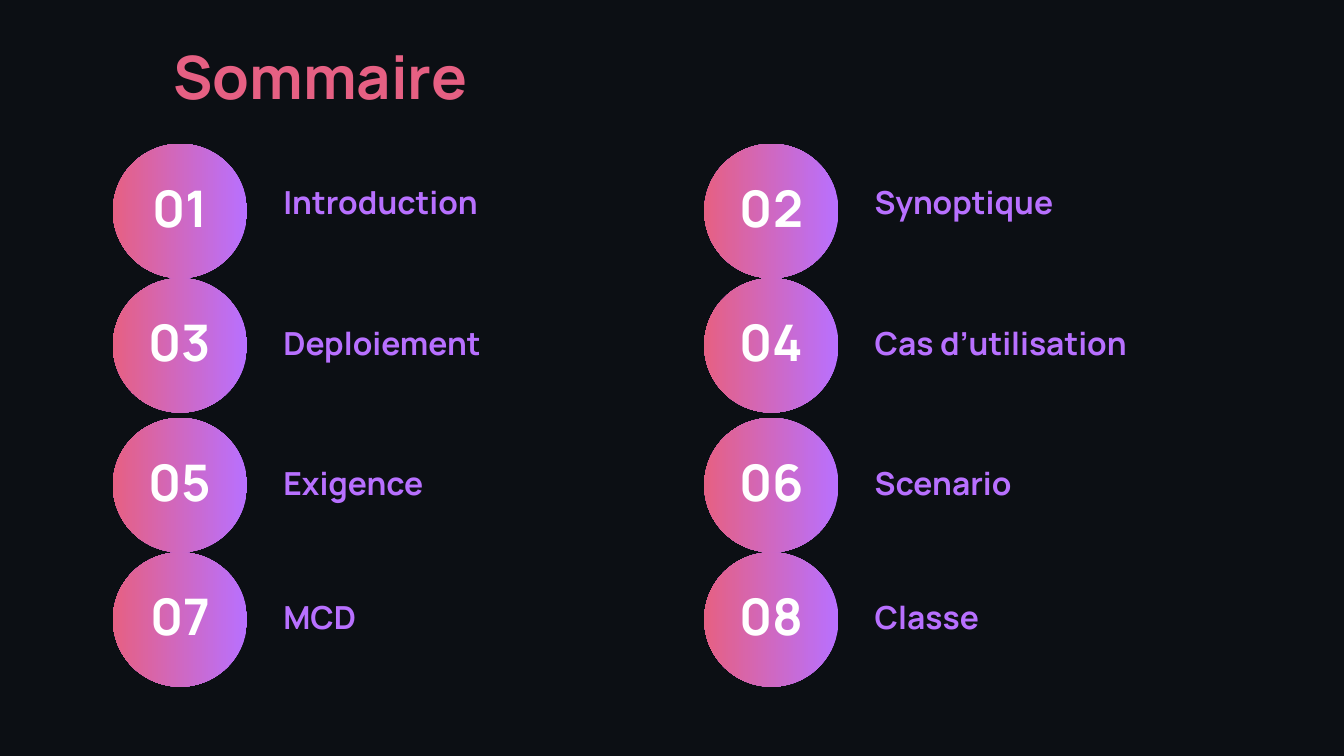
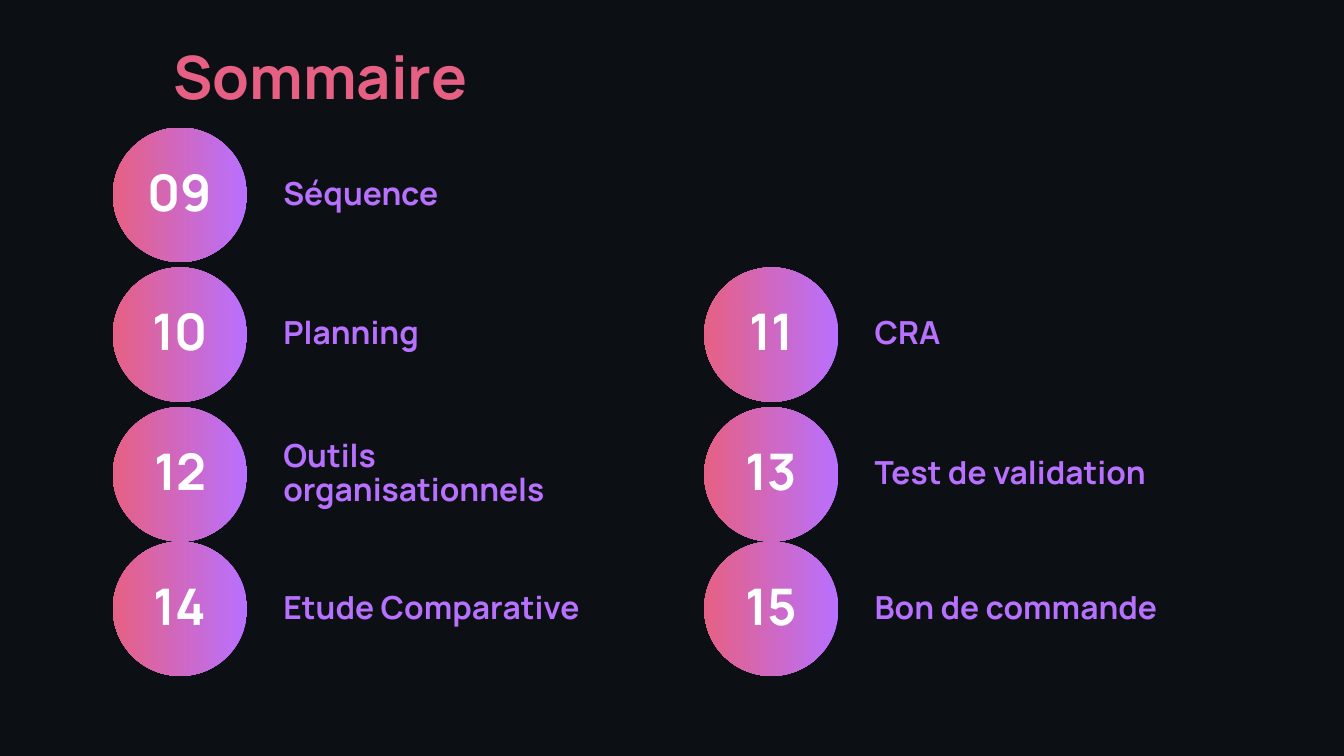
from dataclasses import dataclass
from itertools import count

from pptx import Presentation, util as u
from pptx.dml.color import RGBColor
from pptx.enum import shapes, text

HEADING = "Sommaire"
AGENDA = [
    [
        (1.07, ("Introduction", "Synoptique")),
        (2.07, ("Deploiement", "Cas d’utilisation")),
        (3.11, ("Exigence", "Scenario")),
        (4.11, ("MCD", "Classe")),
    ],
    [
        (0.95, ("Séquence",)),
        (1.99, ("Planning", "CRA")),
        (3.03, ("Outils organisationnels", "Test de validation")),
        (4.03, ("Etude Comparative", "Bon de commande")),
    ],
]
RAISED = {"Introduction": 0.05, "Synoptique": 0.05}


@dataclass(frozen=True)
class Theme:
    font: str = "Manrope"
    night: str = "0C0F14"
    pink: str = "E66083"
    purple: str = "B870FF"
    white: str = "FFFFFF"
    heading_size: int = 32
    number_size: int = 27
    topic_size: int = 17
    line_spacing: float = 0.9


THEME = Theme()
WIDTH = 10
HEIGHT = WIDTH * 9 / 16
FIRST_COLUMN, COLUMN_STEP = 0.84, 4.4
DISC = 1
NUMBER_WIDTH, NUMBER_HEIGHT = 0.81, 0.37
TOPIC_WIDTH, TOPIC_HEIGHT = 2.75, 0.31
TOPIC_INDENT = 1.17


def inches(*lengths):
    return [u.Inches(length) for length in lengths]


def add_words(slide, words, place, size, color, inset=0.1, align=text.PP_ALIGN.LEFT):
    frame = slide.shapes.add_textbox(*inches(*place)).text_frame
    frame.word_wrap = True
    frame.vertical_anchor = text.MSO_ANCHOR.MIDDLE
    frame.margin_left = frame.margin_right = u.Inches(inset)
    frame.margin_top = frame.margin_bottom = u.Inches(inset)
    frame.text = words
    line = frame.paragraphs[0]
    line.alignment = align
    line.line_spacing = THEME.line_spacing
    font = line.runs[0].font
    font.name, font.size, font.bold = THEME.font, u.Pt(size), True
    font.color.rgb = RGBColor.from_string(color)


def add_disc(slide, left, top):
    disc = slide.shapes.add_shape(
        shapes.MSO_SHAPE.OVAL, *inches(left, top, DISC, DISC))
    disc.shadow.inherit = False
    disc.line.fill.background()
    disc.fill.gradient()
    disc.fill.gradient_angle = 180
    for stop, color in zip(disc.fill.gradient_stops, (THEME.purple, THEME.pink)):
        stop.color.rgb = RGBColor.from_string(color)


def add_entry(slide, number, topic, left, top):
    add_disc(slide, left, top)
    add_words(
        slide, f"{number:02d}",
        (left + (DISC - NUMBER_WIDTH) / 2, top + (DISC - NUMBER_HEIGHT) / 2,
         NUMBER_WIDTH, NUMBER_HEIGHT),
        THEME.number_size, THEME.white, 0, text.PP_ALIGN.CENTER)
    topic_top = top + (DISC - TOPIC_HEIGHT) / 2 - RAISED.get(topic, 0)
    add_words(
        slide, topic,
        (left + TOPIC_INDENT, topic_top, TOPIC_WIDTH, TOPIC_HEIGHT),
        THEME.topic_size, THEME.purple)


def add_agenda(deck, rows, numbers):
    slide = deck.slides.add_slide(deck.slide_layouts[6])
    backdrop = slide.background.fill
    backdrop.solid()
    backdrop.fore_color.rgb = RGBColor.from_string(THEME.night)
    add_words(slide, HEADING, (1.19, 0.28, 8.11, 0.63),
              THEME.heading_size, THEME.pink)
    for top, topics in rows:
        for column, topic in enumerate(topics):
            left = FIRST_COLUMN + column * COLUMN_STEP
            add_entry(slide, next(numbers), topic, left, top)


def main():
    deck = Presentation()
    deck.slide_width, deck.slide_height = inches(WIDTH, HEIGHT)
    numbers = count(1)
    for rows in AGENDA:
        add_agenda(deck, rows, numbers)
    deck.save("out.pptx")


if __name__ == "__main__":
    main()
